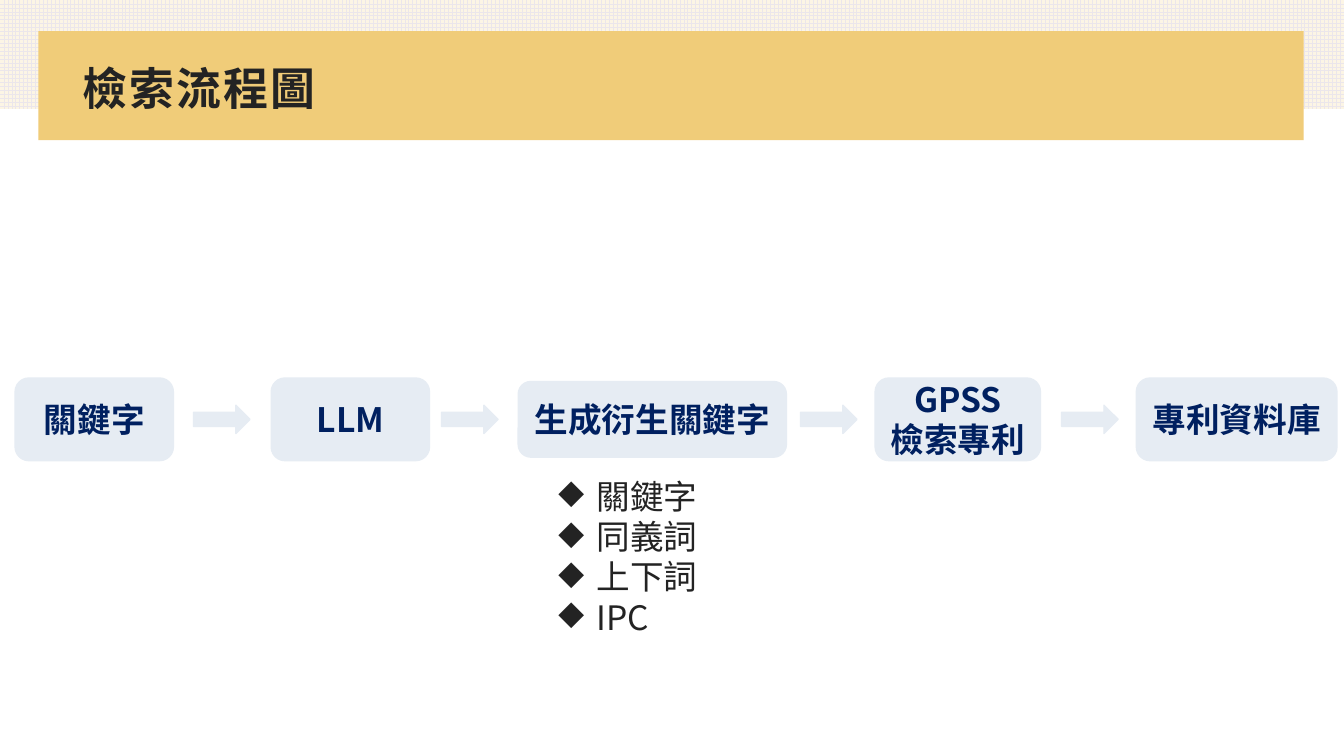
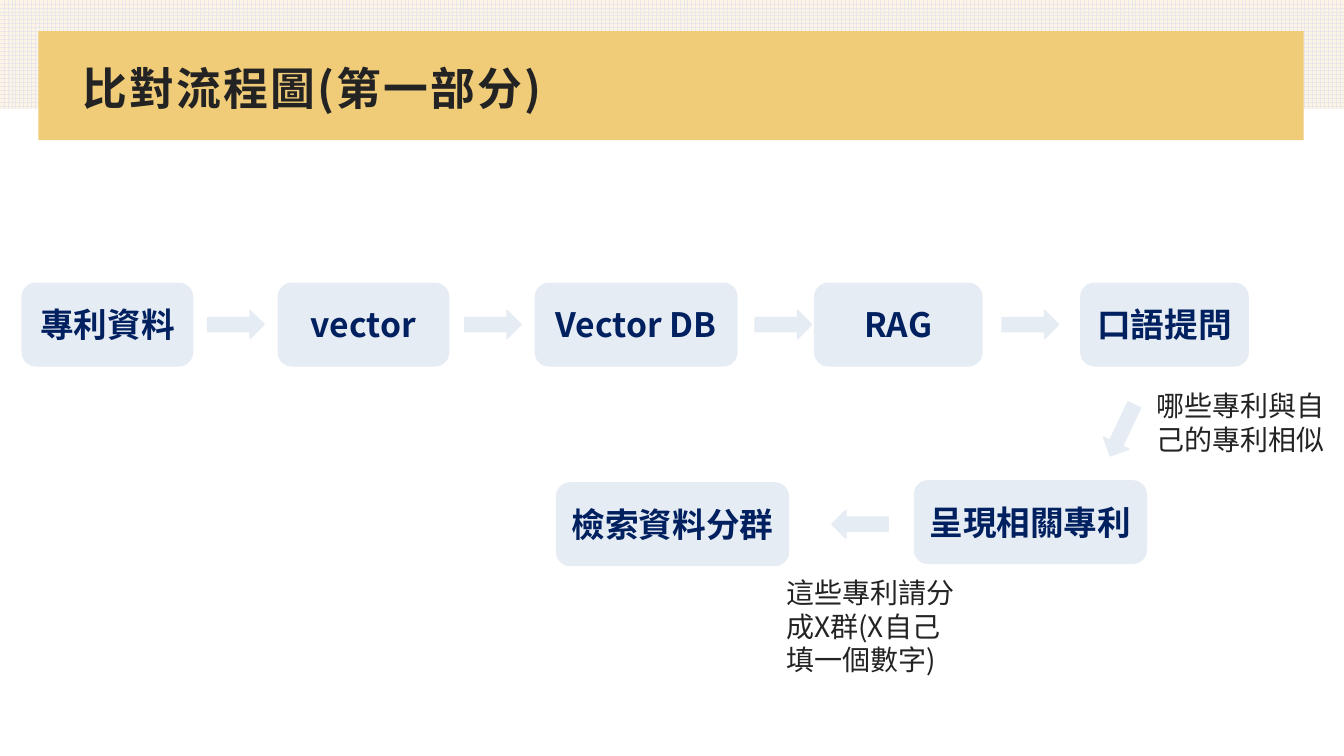
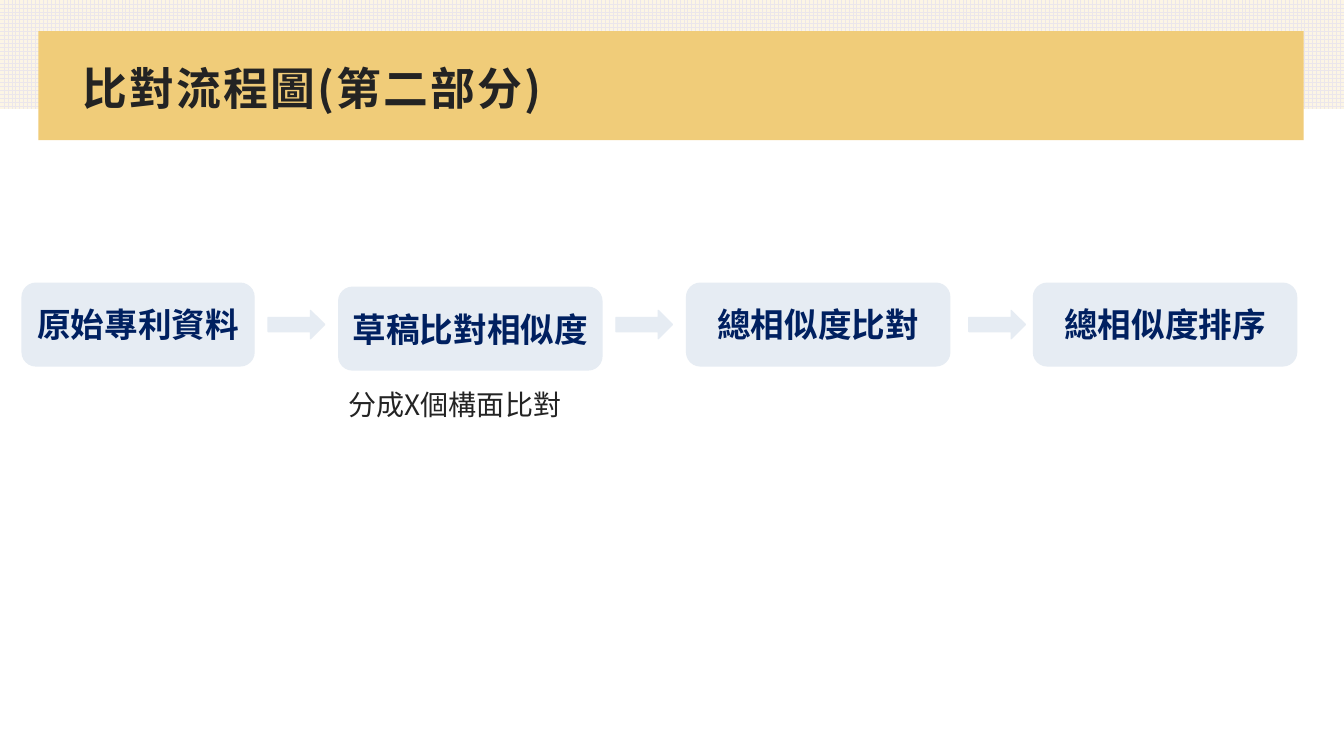
from dataclasses import dataclass

from lxml.etree import SubElement
from pptx import Presentation
from pptx.dml.color import RGBColor
from pptx.enum.dml import MSO_PATTERN
from pptx.enum.shapes import MSO_SHAPE
from pptx.enum.text import MSO_ANCHOR, MSO_AUTO_SIZE, PP_ALIGN
from pptx.oxml.ns import qn
from pptx.util import Inches, Pt

FONT = "Noto Sans CJK SC"
COLORS = {
    "band": "F0CC79",
    "grid": "EBE6EB",
    "cream": "FCF5E5",
    "step": "E6ECF3",
    "navy": "002060",
    "ink": "232323",
}
STEP_HEIGHT = 0.82
ARROW_WIDTH, ARROW_HEIGHT = 0.56, 0.28


@dataclass
class Step:
    """A labelled step, placed relative to the left and top of its row."""

    text: str
    left: float
    width: float
    height: float = STEP_HEIGHT
    drop: float = 0


def color(name):
    """Return the named palette colour."""
    return RGBColor.from_string(COLORS[name])


def write_text(frame, text, size=24, ink="ink", bold=False, align=PP_ALIGN.LEFT,
               bullet=None, spacing=None, tracking=None):
    """Write each line of text as one formatted paragraph."""
    frame.text = text
    for para in frame.paragraphs:
        para.alignment = align
        if spacing:
            para.line_spacing = spacing
        if bullet:
            properties = para._p.get_or_add_pPr()
            properties.set("marL", str(Inches(0.38)))
            properties.set("indent", str(-Inches(0.38)))
            SubElement(properties, qn("a:buChar")).set("char", bullet)
        for span in para.runs:
            span.font.size = Pt(size)
            span.font.bold = bold
            span.font.color.rgb = color(ink)
            span.font.name = FONT
            properties = span._r.get_or_add_rPr()
            SubElement(properties, qn("a:ea")).set("typeface", FONT)
            if tracking:
                properties.set("spc", str(round(tracking * 100)))


def add_block(page, kind, left, top, width, height, fill="step", outlined=True):
    """Add a flat preset shape in one palette colour."""
    block = page.shapes.add_shape(
        kind, Inches(left), Inches(top), Inches(width), Inches(height))
    block.shadow.inherit = False
    block.fill.solid()
    block.fill.fore_color.rgb = color(fill)
    if outlined:
        block.line.color.rgb = color(fill)
        block.line.width = Pt(1)
    else:
        block.line.fill.background()
    return block


def add_step(page, step, left, top):
    """Add a rounded step centred on the middle line of its row."""
    block = add_block(
        page, MSO_SHAPE.ROUNDED_RECTANGLE, left + step.left,
        top + step.drop + (STEP_HEIGHT - step.height) / 2, step.width, step.height)
    frame = block.text_frame
    frame.word_wrap = True
    frame.vertical_anchor = MSO_ANCHOR.MIDDLE
    write_text(frame, step.text, ink="navy", bold=True, align=PP_ALIGN.CENTER)


def add_arrow(page, left, top, rotation=0):
    """Add a block arrow, turned clockwise by the rotation."""
    arrow = add_block(
        page, MSO_SHAPE.RIGHT_ARROW, left, top, ARROW_WIDTH, ARROW_HEIGHT)
    arrow.rotation = rotation


def add_flow(page, left, top, steps, arrows, rotation=0):
    """Add a row of steps with arrows along its middle line."""
    for step in steps:
        add_step(page, step, left, top)
    for offset in arrows:
        add_arrow(page, left + offset, top + (STEP_HEIGHT - ARROW_HEIGHT) / 2, rotation)


def add_note(page, text, left, top, width, height, wrap=True, **style):
    """Add a plain note that grows with its text."""
    box = page.shapes.add_textbox(
        Inches(left), Inches(top), Inches(width), Inches(height))
    frame = box.text_frame
    frame.word_wrap = wrap
    frame.auto_size = MSO_AUTO_SIZE.SHAPE_TO_FIT_TEXT
    write_text(frame, text, **style)


def add_page(deck, layout, title):
    """Add a page with a formatted title."""
    page = deck.slides.add_slide(layout)
    frame = page.shapes.title.text_frame
    frame.word_wrap = True
    frame.auto_size = MSO_AUTO_SIZE.NONE
    frame.vertical_anchor = MSO_ANCHOR.MIDDLE
    frame.margin_left = frame.margin_top = frame.margin_right = Inches(0.12)
    frame.margin_bottom = Inches(0.1)
    write_text(frame, title, size=32, bold=True, spacing=0.9, tracking=1.5)
    return page


def style_layout(layout, page):
    """Place the title and move the shared bands from the page to its layout."""
    title = layout.placeholders[0]
    title.left, title.top = Inches(0.7), Inches(0.52)
    title.width, title.height = Inches(11.93), Inches(0.75)
    grid = add_block(page, MSO_SHAPE.RECTANGLE, 0, 0, 13.33, 1.08, outlined=False)
    grid.fill.patterned()
    grid.fill.pattern = MSO_PATTERN.LARGE_GRID
    grid.fill.fore_color.rgb = color("grid")
    grid.fill.back_color.rgb = color("cream")
    band = add_block(
        page, MSO_SHAPE.RECTANGLE, 0.38, 0.31, 12.55, 1.08, "band", outlined=False)
    for index, shape in enumerate((grid, band), start=2):
        layout.shapes.element.insert(index, shape.element)


def build_search(page):
    """Fill the search flow page."""
    steps = [
        Step("關鍵字", 0, 1.57),
        Step("LLM", 2.54, 1.57),
        Step("生成衍生關鍵字", 4.99, 2.66, height=0.75),
        Step("GPSS\n檢索專利", 8.53, 1.64),
        Step("專利資料庫", 11.12, 1.99),
    ]
    add_flow(page, 0.15, 3.75, steps, [1.77, 4.23, 7.79, 10.38])
    add_note(page, "關鍵字\n同義詞\n上下詞\nIPC", 5.44, 4.67, 1.59, 1.72,
             wrap=False, bullet="◆")


def build_comparison(page):
    """Fill the first comparison page."""
    steps = [
        Step("專利資料", 0, 1.69),
        Step("vector", 2.54, 1.69),
        Step("Vector DB", 5.09, 2),
        Step("RAG", 7.86, 1.66),
        Step("口語提問", 10.5, 1.66),
    ]
    add_flow(page, 0.22, 2.81, steps, [1.84, 4.39, 7.27, 9.72])
    add_arrow(page, 10.85, 4.13, rotation=115.2)
    results = [
        Step("呈現相關專利", 3.55, 2.3, drop=-0.02),
        Step("檢索資料分群", 0, 2.3),
    ]
    add_flow(page, 5.52, 4.79, results, [2.73], rotation=180)
    add_note(page, "哪些專利與自己的專利相似", 11.37, 3.81, 1.92, 0.77, size=20)
    add_note(page, "這些專利請分成X群(X自己填一個數字)", 7.7, 5.66, 1.92, 1.11, size=20)


def build_ranking(page):
    """Fill the second comparison page."""
    steps = [
        Step("原始專利資料", 0, 2.3),
        Step("草稿比對相似度", 3.14, 2.61, drop=0.04),
        Step("總相似度比對", 6.59, 2.61),
        Step("總相似度排序", 10.03, 2.61),
    ]
    add_flow(page, 0.22, 2.81, steps, [2.44, 5.89, 9.39])
    add_note(page, "分成X個構面比對", 3.36, 3.8, 2.45, 0.44, size=20)


def main():
    """Build and save the deck."""
    deck = Presentation()
    deck.slide_width, deck.slide_height = Inches(13.33), Inches(7.5)
    layout = deck.slide_layouts[5]
    pages = [
        ("檢索流程圖", build_search),
        ("比對流程圖(第一部分)", build_comparison),
        ("比對流程圖(第二部分)", build_ranking),
    ]
    for number, (title, build) in enumerate(pages):
        page = add_page(deck, layout, title)
        if number == 0:
            style_layout(layout, page)
        build(page)
    deck.save("out.pptx")


if __name__ == "__main__":
    main()
